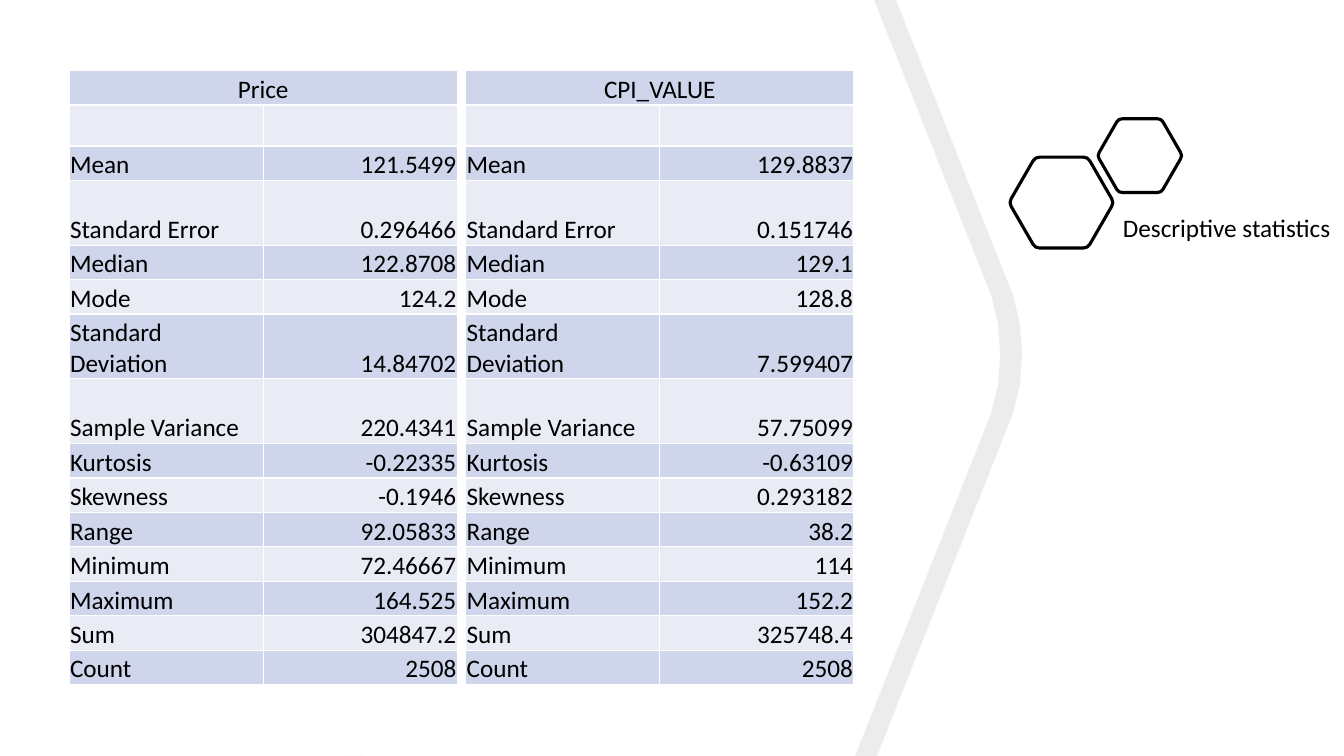
import math
from dataclasses import dataclass

from lxml import etree
from pptx import Presentation
from pptx import util as u
from pptx.dml.color import RGBColor
from pptx.enum import text
from pptx.oxml import ns

Point = tuple[float, float]

COLORS = {
    "ink": "000000",
    "border": "FFFFFF",
    "band_dark": "CFD5EA",
    "band_light": "E9EBF5",
    "chevron": "808080",
}
FONT = {"name": "Calibri", "size": u.Pt(18), "bold": False}
CELL = {
    "margin_left": u.Pt(0.75),
    "margin_right": u.Pt(0.75),
    "margin_top": u.Pt(0.75),
    "margin_bottom": 0,
    "vertical_anchor": text.MSO_ANCHOR.BOTTOM,
}
TITLE_BOX = {"left": u.Pt(794.9), "top": u.Pt(148), "width": u.Pt(165), "height": u.Pt(29)}
TITLE_FRAME = {
    "word_wrap": True,
    "auto_size": text.MSO_AUTO_SIZE.SHAPE_TO_FIT_TEXT,
    "vertical_anchor": text.MSO_ANCHOR.TOP,
}

MEASURES = [
    "Mean", "Standard Error", "Median", "Mode", "Standard Deviation", "Sample Variance",
    "Kurtosis", "Skewness", "Range", "Minimum", "Maximum", "Sum", "Count",
]
TALL_MEASURES = {"Standard Error", "Standard Deviation", "Sample Variance"}
ROW_HEIGHT, EMPTY_HEIGHT, TALL_HEIGHT = 24.63, 29.3, 46.25
COLUMN_WIDTH = 138.7
TABLE_TOP = 50.4
CORNER_SHARE = 0.085
BEND_STEPS, CORNER_STEPS = 4, 2


@dataclass
class StatTable:
    heading: str
    left: float
    values: list[str]


@dataclass
class Hexagon:
    center: Point
    radius: float


TABLES = [
    StatTable("Price", 49.3, [
        "121.5499", "0.296466", "122.8708", "124.2", "14.84702", "220.4341", "-0.22335",
        "-0.1946", "92.05833", "72.46667", "164.525", "304847.2", "2508"]),
    StatTable("CPI_VALUE", 332.6, [
        "129.8837", "0.151746", "129.1", "128.8", "7.599407", "57.75099", "-0.63109",
        "0.293182", "38.2", "114", "152.2", "325748.4", "2508"]),
]
HEXAGONS = [Hexagon((758.2, 144.7), 37.5), Hexagon((814.2, 111.2), 30.4)]


def apply_format(target, values: dict) -> None:
    for name, value in values.items():
        setattr(target, name, value)


def rgb(name: str) -> RGBColor:
    return RGBColor.from_string(COLORS[name])


def curve(controls: list[Point], steps: int) -> list[Point]:
    """Sample a Bezier curve of any degree."""
    degree = len(controls) - 1
    points = []
    for step in range(steps + 1):
        t = step / steps
        weights = [math.comb(degree, i) * t**i * (1 - t) ** (degree - i) for i in range(degree + 1)]
        points.append(tuple(sum(w * c[axis] for w, c in zip(weights, controls)) for axis in (0, 1)))
    return points


def draw_outline(shapes, *contours: list[Point]):
    scaled = [[(u.Pt(x), u.Pt(y)) for x, y in contour] for contour in contours]
    builder = shapes.build_freeform(*scaled[0][0])
    builder.add_line_segments(scaled[0][1:], close=True)
    for contour in scaled[1:]:
        builder.move_to(*contour[0])
        builder.add_line_segments(contour[1:], close=True)
    outline = builder.convert_to_shape()
    outline.shadow.inherit = False
    return outline


def draw_chevron(shapes) -> None:
    bend = curve([(723.6, 211), (732.2, 235.4), (732.2, 271.4), (723.6, 295.2)], BEND_STEPS)
    right_edge = [(640, 0), *bend, (626.4, 540)]
    left_edge = [(x - 15.6, y) for x, y in reversed(right_edge)]
    foot = [(244.8, 540), (260.6, 540)]
    chevron = draw_outline(shapes, foot, right_edge + left_edge)
    chevron.fill.solid()
    chevron.fill.fore_color.rgb = rgb("chevron")
    chevron.line.fill.background()
    color = chevron.element.spPr.find(".//" + ns.qn("a:srgbClr"))
    etree.SubElement(color, ns.qn("a:alpha"), val="15000")


def draw_hexagon(shapes, hexagon: Hexagon) -> None:
    def vertex(index: int) -> Point:
        angle = math.radians(60 * index)
        return (hexagon.center[0] + hexagon.radius * math.cos(angle),
                hexagon.center[1] + hexagon.radius * math.sin(angle))

    def toward(start: Point, end: Point) -> Point:
        return tuple(a + (b - a) * CORNER_SHARE for a, b in zip(start, end))

    points = []
    for index in range(6):
        corner = vertex(index)
        controls = [toward(corner, vertex(index - 1)), corner, toward(corner, vertex(index + 1))]
        points += curve(controls, CORNER_STEPS)
    outline = draw_outline(shapes, points)
    outline.fill.background()
    outline.line.color.rgb = rgb("ink")
    outline.line.width = u.Pt(2.25)


def format_cell(cell, fill: str) -> None:
    cell.fill.solid()
    cell.fill.fore_color.rgb = rgb(fill)
    properties = cell._tc.get_or_add_tcPr()
    for position, side in enumerate(("lnL", "lnR", "lnT", "lnB")):
        border = etree.Element(ns.qn(f"a:{side}"), w=str(u.Pt(1)))
        solid = etree.SubElement(border, ns.qn("a:solidFill"))
        etree.SubElement(solid, ns.qn("a:srgbClr"), val=COLORS["border"])
        properties.insert(position, border)


def write(para, words: str, align) -> None:
    para.alignment = align
    span = para.add_run()
    span.text = words
    apply_format(span.font, FONT)
    span.font.color.rgb = rgb("ink")


def draw_table(shapes, stats: StatTable) -> None:
    heights = [ROW_HEIGHT, EMPTY_HEIGHT]
    heights += [TALL_HEIGHT if name in TALL_MEASURES else ROW_HEIGHT for name in MEASURES]
    frame = shapes.add_table(len(heights), 2, u.Pt(stats.left), u.Pt(TABLE_TOP),
                             u.Pt(2 * COLUMN_WIDTH), u.Pt(sum(heights)))
    table = frame.table
    apply_format(table, {"first_row": False, "horz_banding": False})
    for column in table.columns:
        column.width = u.Pt(COLUMN_WIDTH)
    contents = [(stats.heading, ""), ("", ""), *zip(MEASURES, stats.values)]
    for row, (height, words) in enumerate(zip(heights, contents)):
        table.rows[row].height = u.Pt(height)
        for column, word in enumerate(words):
            cell = table.cell(row, column)
            format_cell(cell, "band_light" if row % 2 else "band_dark")
            if word:
                apply_format(cell, CELL)
                align = text.PP_ALIGN.RIGHT if column else text.PP_ALIGN.LEFT
                write(cell.text_frame.paragraphs[0], word, align if row else text.PP_ALIGN.CENTER)
    table.cell(0, 0).merge(table.cell(0, 1))


def main() -> None:
    deck = Presentation()
    apply_format(deck, {"slide_width": u.Pt(960), "slide_height": u.Pt(540)})
    page = deck.slides.add_slide(deck.slide_layouts[5])

    # Background chevron and hexagon pair
    draw_chevron(page.shapes)
    group = page.shapes.add_group_shape()
    for hexagon in HEXAGONS:
        draw_hexagon(group.shapes, hexagon)

    # Statistics tables
    for stats in TABLES:
        draw_table(page.shapes, stats)

    # Title
    box = page.shapes.title
    apply_format(box, TITLE_BOX)
    apply_format(box.text_frame, TITLE_FRAME)
    write(box.text_frame.paragraphs[0], "Descriptive statistics", text.PP_ALIGN.LEFT)

    deck.save("out.pptx")


if __name__ == "__main__":
    main()
